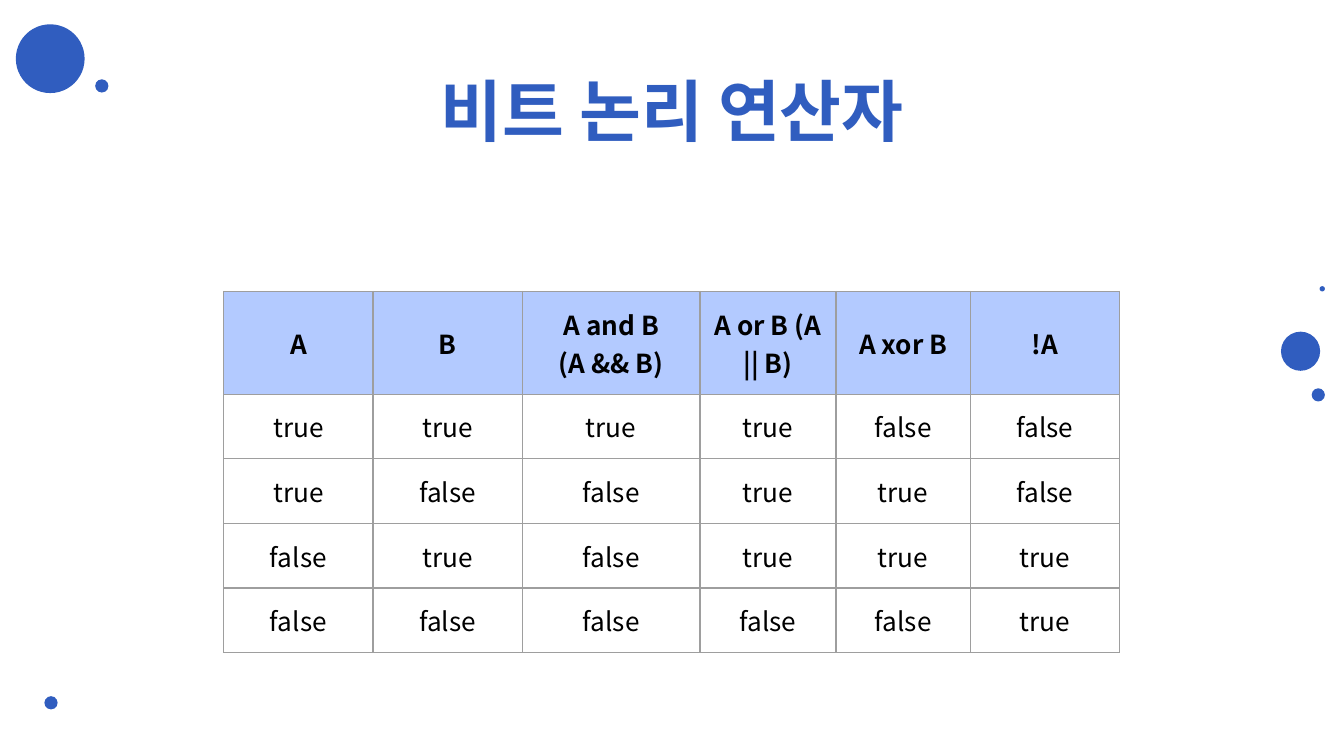
from dataclasses import dataclass
from itertools import product

from lxml import etree
from pptx import Presentation
from pptx.dml.color import RGBColor
from pptx.enum.shapes import MSO_SHAPE
from pptx.enum.text import MSO_ANCHOR, MSO_AUTO_SIZE, PP_ALIGN
from pptx.oxml.ns import qn
from pptx.slide import Slide
from pptx.table import _Cell
from pptx.text.text import TextFrame
from pptx.util import Cm, Pt

OVAL = MSO_SHAPE.OVAL
CENTER = PP_ALIGN.CENTER
TOP, MIDDLE = MSO_ANCHOR.TOP, MSO_ANCHOR.MIDDLE
NO_AUTOFIT = MSO_AUTO_SIZE.NONE
TITLE_ONLY = 5


@dataclass(frozen=True)
class Theme:
    """Colours, font and sizes used on the slide."""
    blue: str = "305DBF"
    header: str = "B3CAFF"
    ink: str = "000000"
    border: str = "9E9E9E"
    font: str = "Noto Sans CJK KR"
    title_size: float = 36
    table_size: float = 14
    border_width: float = 0.75
    inset: float = 0.25


@dataclass(frozen=True)
class Dot:
    """A decorative circle, in centimetres."""
    left: float
    top: float
    diameter: float


THEME = Theme()
DOTS = (
    Dot(0.3, 0.46, 1.3),
    Dot(1.8, 1.5, 0.25),
    Dot(24.21, 6.27, 0.74),
    Dot(24.79, 7.34, 0.25),
    Dot(24.94, 5.41, 0.1),
    Dot(0.84, 13.16, 0.25),
)
HEADINGS = ("A", "B", "A and B\n(A && B)", "A or B (A || B)", "A xor B", "!A")
COLUMN_WIDTHS = (2.82, 2.82, 3.36, 2.57, 2.54, 2.82)
ROW_HEIGHT = 1.04


def add_dot(slide: Slide, dot: Dot) -> None:
    """Draw one solid circle."""
    side = Cm(dot.diameter)
    circle = slide.shapes.add_shape(OVAL, Cm(dot.left), Cm(dot.top), side, side)
    circle.shadow.inherit = False
    circle.fill.solid()
    circle.fill.fore_color.rgb = RGBColor.from_string(THEME.blue)
    circle.line.fill.background()


def write_text(frame: TextFrame, text: str, size: float, color: str, bold: bool) -> None:
    """Fill a text frame with one centred paragraph."""
    para = frame.paragraphs[0]
    para.text = text
    para.alignment = CENTER
    para.font.size = Pt(size)
    para.font.bold = bold
    para.font.color.rgb = RGBColor.from_string(color)
    para.font.name = THEME.font
    defaults = para._p.pPr.find(qn("a:defRPr"))
    etree.SubElement(defaults, qn("a:ea"), typeface=THEME.font)


def add_title(slide: Slide, text: str) -> None:
    """Place and format the title placeholder."""
    title = slide.shapes.title
    title.left, title.top = Cm(1.9), Cm(1.24)
    title.width, title.height = Cm(21.6), Cm(1.6)
    frame = title.text_frame
    frame.auto_size = NO_AUTOFIT
    frame.word_wrap = True
    frame.vertical_anchor = TOP
    frame.margin_left = frame.margin_right = Cm(THEME.inset)
    frame.margin_top = frame.margin_bottom = Cm(THEME.inset)
    write_text(frame, text, THEME.title_size, THEME.blue, True)
    frame.paragraphs[0].line_spacing = 0.9


def add_borders(cell: _Cell) -> None:
    """Give a cell a thin line on every side."""
    properties = cell._tc.get_or_add_tcPr()
    for side in ("lnL", "lnR", "lnT", "lnB"):
        line = etree.SubElement(properties, qn(f"a:{side}"), w=str(Pt(THEME.border_width)))
        fill = etree.SubElement(line, qn("a:solidFill"))
        etree.SubElement(fill, qn("a:srgbClr"), val=THEME.border)


def format_cell(cell: _Cell, text: str, is_header: bool) -> None:
    """Write and style one table cell."""
    add_borders(cell)
    if is_header:
        cell.fill.solid()
        cell.fill.fore_color.rgb = RGBColor.from_string(THEME.header)
    else:
        cell.fill.background()
    cell.vertical_anchor = MIDDLE
    cell.margin_left = cell.margin_right = Cm(THEME.inset)
    cell.margin_top = cell.margin_bottom = Cm(THEME.inset)
    write_text(cell.text_frame, text, THEME.table_size, THEME.ink, is_header)


def truth_rows() -> list[tuple[str, ...]]:
    """Work out the truth table for every pair of inputs."""
    return [
        tuple(str(value).lower() for value in (a, b, a and b, a or b, a != b, not a))
        for a, b in product((True, False), repeat=2)
    ]


def add_truth_table(slide: Slide) -> None:
    """Build the table of logical operators."""
    rows = [HEADINGS, *truth_rows()]
    table = slide.shapes.add_table(
        len(rows), len(HEADINGS), Cm(4.23), Cm(5.51),
        Cm(sum(COLUMN_WIDTHS)), Cm(ROW_HEIGHT * len(rows)),
    ).table
    table.first_row = table.horz_banding = False
    for column, width in zip(table.columns, COLUMN_WIDTHS):
        column.width = Cm(width)
    for row_index, texts in enumerate(rows):
        table.rows[row_index].height = Cm(ROW_HEIGHT)
        for column_index, text in enumerate(texts):
            format_cell(table.cell(row_index, column_index), text, row_index == 0)


def main() -> None:
    """Build and save the deck."""
    deck = Presentation()
    deck.slide_width, deck.slide_height = Cm(25.4), Cm(14.29)
    slide = deck.slides.add_slide(deck.slide_layouts[TITLE_ONLY])
    for dot in DOTS:
        add_dot(slide, dot)
    add_title(slide, "비트 논리 연산자")
    add_truth_table(slide)
    deck.save("out.pptx")


main()
